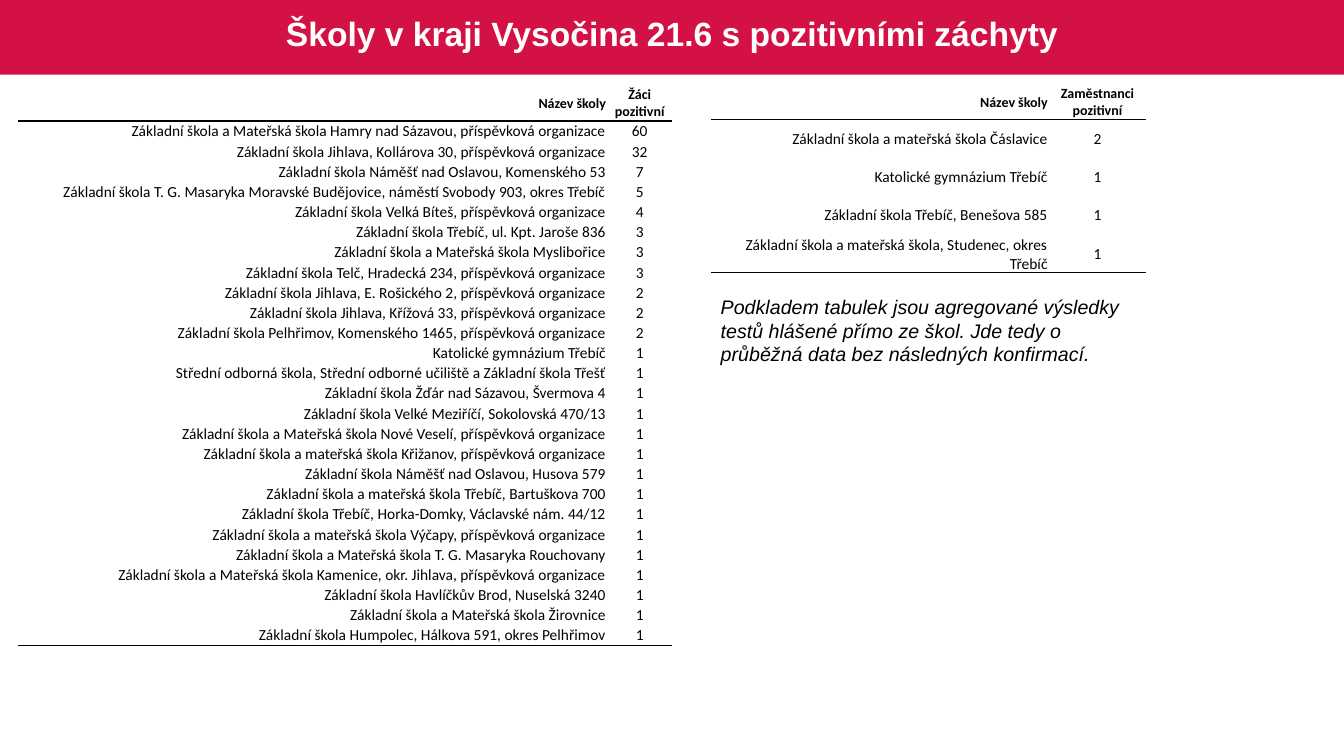
from lxml import etree
from pptx import Presentation
from pptx.dml.color import RGBColor
from pptx.enum import shapes, text
from pptx.oxml import ns
from pptx.util import Inches, Pt

COLORS = {"band": "D31145", "title": "FFFFFF", "text": "000000"}
NO_GRID_STYLE = "{2D5ABB26-0587-4C30-8999-92F81FD0307C}"

PUPILS = [
    ("Základní škola a Mateřská škola Hamry nad Sázavou, příspěvková organizace", 60),
    ("Základní škola Jihlava, Kollárova 30, příspěvková organizace", 32),
    ("Základní škola Náměšť nad Oslavou, Komenského 53", 7),
    ("Základní škola T. G. Masaryka Moravské Budějovice, náměstí Svobody 903, okres Třebíč", 5),
    ("Základní škola Velká Bíteš, příspěvková organizace", 4),
    ("Základní škola Třebíč, ul. Kpt. Jaroše 836", 3),
    ("Základní škola a Mateřská škola Myslibořice", 3),
    ("Základní škola Telč, Hradecká 234, příspěvková organizace", 3),
    ("Základní škola Jihlava, E. Rošického 2, příspěvková organizace", 2),
    ("Základní škola Jihlava, Křížová 33, příspěvková organizace", 2),
    ("Základní škola Pelhřimov, Komenského 1465, příspěvková organizace", 2),
    ("Katolické gymnázium Třebíč", 1),
    ("Střední odborná škola, Střední odborné učiliště a Základní škola Třešť", 1),
    ("Základní škola Žďár nad Sázavou, Švermova 4", 1),
    ("Základní škola Velké Meziříčí, Sokolovská 470/13", 1),
    ("Základní škola a Mateřská škola Nové Veselí, příspěvková organizace", 1),
    ("Základní škola a mateřská škola Křižanov, příspěvková organizace", 1),
    ("Základní škola Náměšť nad Oslavou, Husova 579", 1),
    ("Základní škola a mateřská škola Třebíč, Bartuškova 700", 1),
    ("Základní škola Třebíč, Horka-Domky, Václavské nám. 44/12", 1),
    ("Základní škola a mateřská škola Výčapy, příspěvková organizace", 1),
    ("Základní škola a Mateřská škola T. G. Masaryka Rouchovany", 1),
    ("Základní škola a Mateřská škola Kamenice, okr. Jihlava, příspěvková organizace", 1),
    ("Základní škola Havlíčkův Brod, Nuselská 3240", 1),
    ("Základní škola a Mateřská škola Žirovnice", 1),
    ("Základní škola Humpolec, Hálkova 591, okres Pelhřimov", 1),
]
STAFF = [
    ("Základní škola a mateřská škola Čáslavice", 2),
    ("Katolické gymnázium Třebíč", 1),
    ("Základní škola Třebíč, Benešova 585", 1),
    ("Základní škola a mateřská škola, Studenec, okres Třebíč", 1),
]


def write(tf, content, align, color="text", **font):
    p = tf.paragraphs[0]
    p.alignment = align
    r = p.add_run()
    r.text = content
    r.font.color.rgb = RGBColor.from_string(COLORS[color])
    for name, value in font.items():
        setattr(r.font, name, value)
    return p


def add_bottom_border(cell):
    ln = etree.SubElement(cell._tc.get_or_add_tcPr(), ns.qn("a:lnB"), w=str(Pt(1)))
    fill = etree.SubElement(ln, ns.qn("a:solidFill"))
    etree.SubElement(fill, ns.qn("a:srgbClr"), val=COLORS["text"])


prs = Presentation()
prs.slide_width, prs.slide_height = Inches(13.33), Inches(7.5)
s = prs.slides.add_slide(prs.slide_layouts[6])

# Title band
band = s.shapes.add_shape(shapes.MSO_SHAPE.RECTANGLE, 0, 0, prs.slide_width, Inches(0.74))
band.shadow.inherit = False
band.fill.solid()
band.fill.fore_color.rgb = RGBColor.from_string(COLORS["band"])
band.line.fill.background()

title = s.shapes.add_textbox(Inches(0.18), Inches(0.04), Inches(12.97), Inches(0.63))
tf = title.text_frame
tf.word_wrap = True
tf.vertical_anchor = text.MSO_ANCHOR.MIDDLE
p = write(tf, "Školy v kraji Vysočina 21.6 s pozitivními záchyty", text.PP_ALIGN.CENTER,
          "title", name="Arial", size=Pt(24), bold=True)
p.line_spacing = 0.9

# Tables: left, column widths, header height, row height, body anchor, heading, rows
TABLES = [
    (0.18, (5.84, 0.65), 0.36, 0.2, text.MSO_ANCHOR.BOTTOM, "Žáci pozitivní", PUPILS),
    (7.05, (3.35, 0.97), 0.34, 0.38, text.MSO_ANCHOR.MIDDLE, "Zaměstnanci pozitivní", STAFF),
]
for left, widths, head_h, row_h, body_anchor, heading, schools in TABLES:
    rows = [("Název školy", heading)] + schools
    height = head_h + row_h * len(schools)
    frame = s.shapes.add_table(len(rows), 2, Inches(left), Inches(0.84),
                               Inches(sum(widths)), Inches(height))
    table = frame.table
    table.first_row = table.horz_banding = False
    table._tbl.tblPr.find(ns.qn("a:tableStyleId")).text = NO_GRID_STYLE
    for column, width in zip(table.columns, widths):
        column.width = Inches(width)
    for i, values in enumerate(rows):
        is_head = i == 0
        table.rows[i].height = Inches(head_h if is_head else row_h)
        for j, align in enumerate((text.PP_ALIGN.RIGHT, text.PP_ALIGN.CENTER)):
            cell = table.cell(i, j)
            cell.margin_left = cell.margin_right = cell.margin_top = Inches(0.01)
            cell.margin_bottom = 0
            cell.vertical_anchor = text.MSO_ANCHOR.MIDDLE if is_head else body_anchor
            if i in (0, len(schools)):
                add_bottom_border(cell)
            cell.fill.background()
            write(cell.text_frame, str(values[j]), align, name="Calibri",
                  size=Pt(10 if is_head else 11), bold=is_head)

# Note on the data
note = s.shapes.add_textbox(Inches(7.05), Inches(2.88), Inches(4.32), Inches(0.81))
note.text_frame.word_wrap = True
write(note.text_frame, "Podkladem tabulek jsou agregované výsledky testů hlášené přímo ze škol. "
      "Jde tedy o průběžná data bez následných konfirmací.", text.PP_ALIGN.LEFT,
      name="Arial", size=Pt(14), italic=True)

prs.save("out.pptx")
